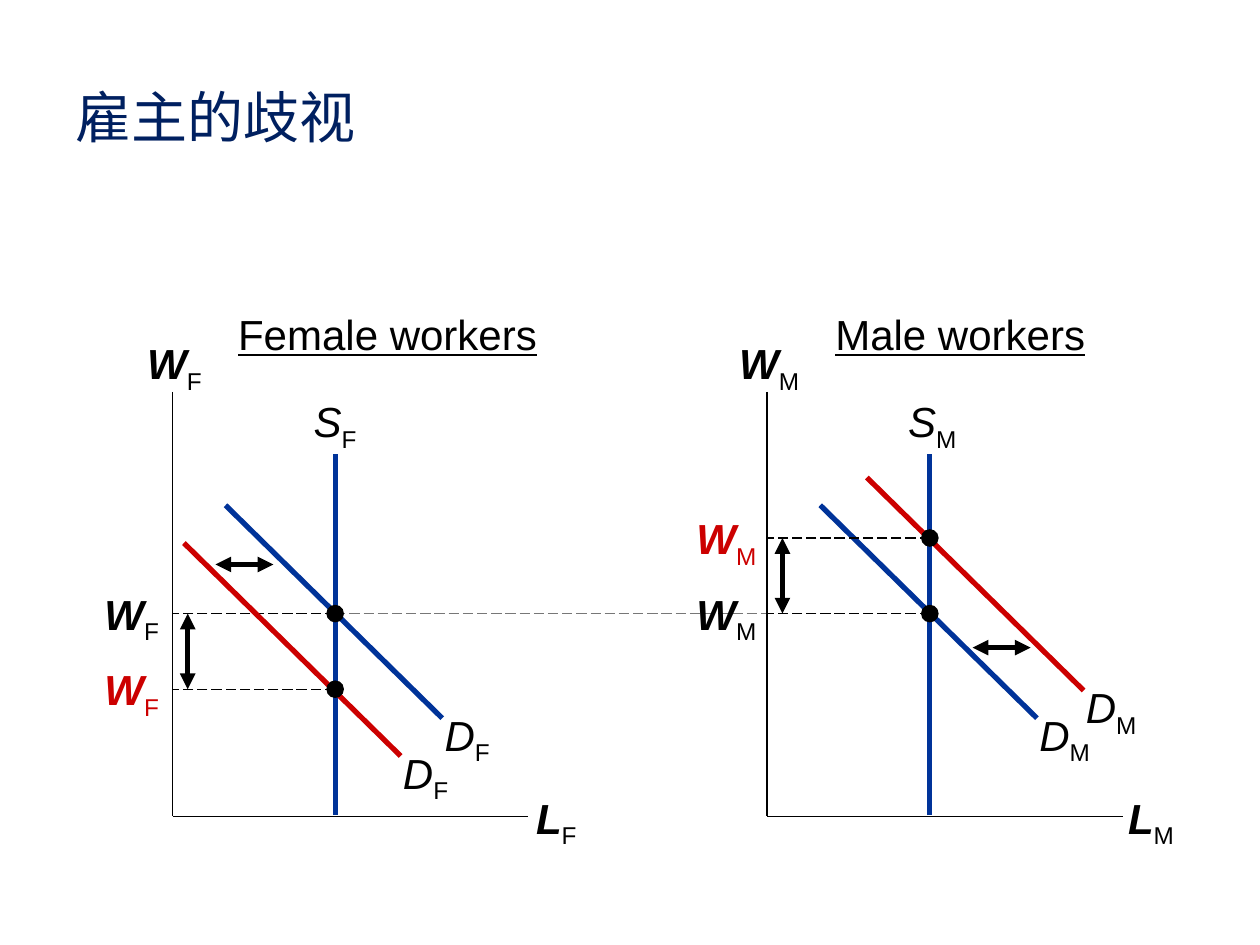
from lxml import etree
from pptx import Presentation
from pptx import util as u
from pptx.dml.color import RGBColor as Rgb
from pptx.enum import dml, shapes, text
from pptx.oxml.ns import qn

theme = dict(
    navy=Rgb(0x00, 0x20, 0x60), black=Rgb(0, 0, 0), blue=Rgb(0, 0x33, 0x99),
    red=Rgb(0xCC, 0, 0), grey=Rgb(0x77, 0x77, 0x77),
    head=32, body=24, font="Arial", cjk="Noto Sans CJK SC",
)

deck = Presentation()
deck.slide_width, deck.slide_height = u.Inches(10), u.Inches(7.5)
slide = deck.slides.add_slide(deck.slide_layouts[5])
unit = deck.slide_width / 100  # grid of 100 columns by 75 rows


def line(x1, y1, x2, y2, color, width, dash=False, arrows=False):
    ends = [round(v * unit) for v in (x1, y1, x2, y2)]
    rule = slide.shapes.add_connector(shapes.MSO_CONNECTOR.STRAIGHT, *ends)
    rule.line.color.rgb = theme[color]
    rule.line.width = u.Pt(width)
    if dash:
        rule.line.dash_style = dml.MSO_LINE.LONG_DASH
    if arrows:
        for tag in ("a:headEnd", "a:tailEnd"):
            etree.SubElement(rule.line._get_or_add_ln(), qn(tag), type="triangle")
    etree.SubElement(rule._element.spPr, qn("a:effectLst"))


def label(x, y, w, h, word, sub="", color="black", bold=False, italic=True,
          under=False, center=True, inset=True):
    box = slide.shapes.add_textbox(*[round(v * unit) for v in (x, y, w, h)])
    frame = box.text_frame
    frame.word_wrap = True
    frame.auto_size = text.MSO_AUTO_SIZE.SHAPE_TO_FIT_TEXT
    if not inset:
        frame.margin_left = frame.margin_right = 0
        frame.margin_top = frame.margin_bottom = 0
    para = frame.paragraphs[0]
    para.alignment = text.PP_ALIGN.CENTER if center else text.PP_ALIGN.LEFT
    for part in filter(None, (word, sub)):
        run = para.add_run()
        run.text = part
        font = run.font
        font.name, font.size = theme["font"], u.Pt(theme["body"])
        font.color.rgb = theme[color]
        font.underline = under
        font.bold = bold and part == word
        font.italic = italic and part == word
        if part == sub:
            run._r.get_or_add_rPr().set("baseline", "-25000")


# Title
title = slide.shapes.title
title.left, title.top = round(5 * unit), round(3 * unit)
title.width, title.height = round(90 * unit), round(12.5 * unit)
title.text_frame.vertical_anchor = text.MSO_ANCHOR.MIDDLE
para = title.text_frame.paragraphs[0]
para.alignment = text.PP_ALIGN.LEFT
run = para.add_run()
run.text = "雇主的歧视"
run.font.name, run.font.size = theme["cjk"], u.Pt(theme["head"])
run.font.color.rgb = theme["navy"]
etree.SubElement(run._r.get_or_add_rPr(), qn("a:ea"), typeface=theme["cjk"])

# Shared wage level, from one market to the other
left, gap = 13.7, 47.2
wage, supply, base = 48.7, 12.9, 64.8
line(left + supply, wage, left + gap, wage, "grey", 0.75, dash=True)

# Per market: subscript, heading box, D label width, demand shift (x, y),
# wage shift, shift arrow (x, y)
markets = [
    ("F", "Female workers", 4, 26.1, 6, -3.3, 3, 6, 3.4, 44.8),
    ("M", "Male workers", 2.9, 24.8, 7.4, 3.7, -2.2, -6, 16.3, 51.4),
]
for col, (sub, name, hx, hw, dw, dx, dy, rise, ax, ay) in enumerate(markets):
    x = left + col * gap
    mid = x + supply

    # Axes and heading
    line(x, 31.1, x, base, "black", 1)
    line(x, base, x + 28.2, base, "black", 1)
    label(x - 3.7, 26.3, 7.7, 5, "W", sub, bold=True)
    label(x + 27.2, 62.4, 6.5, 5, "L", sub, bold=True)
    label(x + hx, 24, hw, 5, name, italic=False, under=True)

    # Supply
    label(x + 10.2, 30.9, 6.4, 5, "S", sub, center=False)
    line(mid, base - 0.1, mid, 36, "blue", 3)

    # Demand and wage, before and after discrimination
    for sx, sy, step, curve, ink in ((0, 0, 0, "blue", "black"),
                                     (dx, dy, rise, "red", "red")):
        line(x + 4.2 + sx, 40.1 + sy, x + 21.4 + sx, 57 + sy, curve, 3)
        label(x + 20.6 + sx, 55.8 + sy, dw, 5, "D", sub, center=False)
        level = wage + step
        label(x - 5.9, level - 2, 5.3, 4, "W", sub, ink, bold=True, inset=False)
        line(mid, level, x, level, "black", 0.75, dash=True)
        dot = slide.shapes.add_shape(
            shapes.MSO_SHAPE.OVAL, round((mid - 0.7) * unit),
            round((level - 0.7) * unit), round(1.4 * unit), round(1.4 * unit))
        dot.shadow.inherit = False
        dot.fill.solid()
        dot.fill.fore_color.rgb = theme["black"]
        dot.line.fill.background()

    # Arrows for the two shifts
    line(x + 1.2, wage, x + 1.2, wage + rise, "black", 3, arrows=True)
    line(x + ax, ay, x + ax + 4.6, ay, "black", 3, arrows=True)

deck.save("out.pptx")
